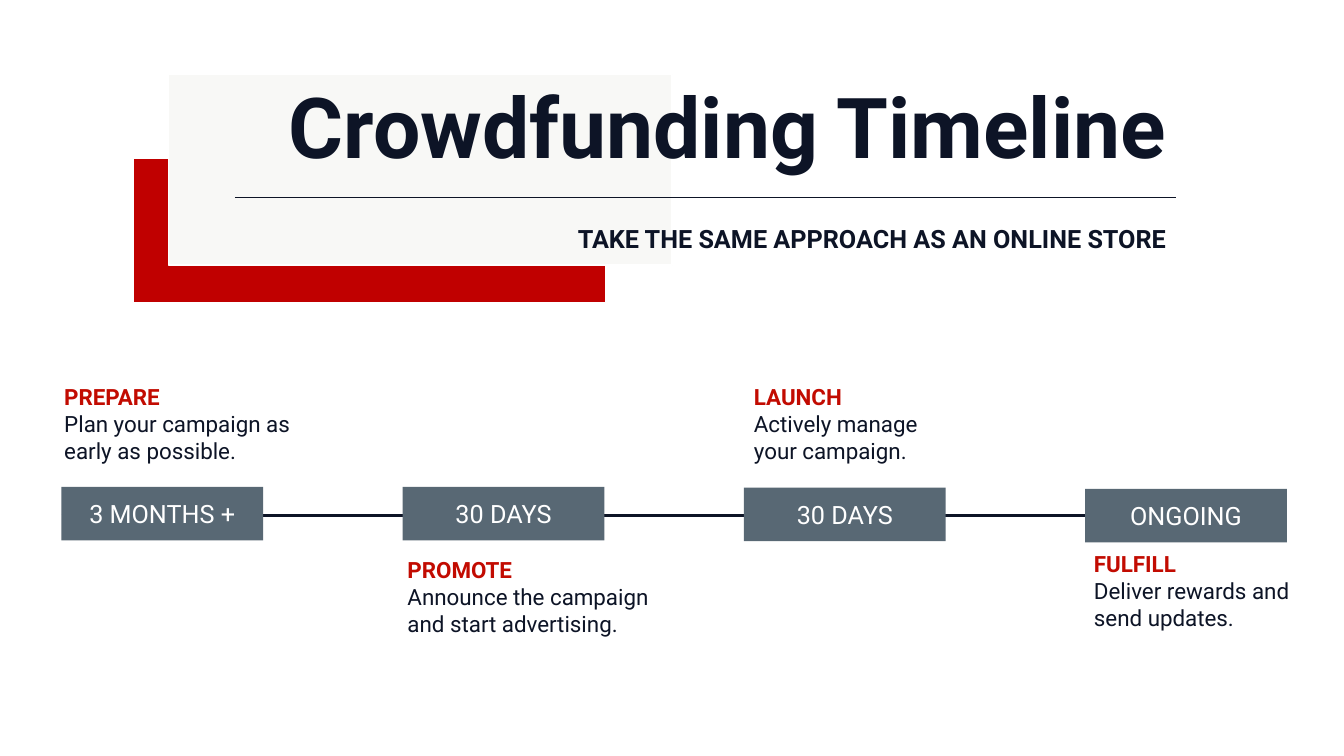
import dataclasses
import pptx
import pptx.dml.color
import pptx.enum.shapes
import pptx.enum.text
import pptx.oxml.ns
import pptx.util
from lxml import etree

Cm = pptx.util.Cm
Pt = pptx.util.Pt
ALIGN = pptx.enum.text.PP_ALIGN
ANCHOR = pptx.enum.text.MSO_ANCHOR


@dataclasses.dataclass(frozen=True)
class Theme:
    font: str = "Roboto"
    ink: str = "0D1426"
    white: str = "FFFFFF"
    accent_block: str = "C00000"
    pale_block: str = "F8F8F6"
    stage_name: str = "C20B01"
    stage_block: str = "586874"
    title_size: int = 60
    label_size: int = 18
    caption_size: int = 16


@dataclasses.dataclass(frozen=True)
class Stage:
    duration: str
    name: str
    advice: str
    drop: float
    caption_shift: float
    caption_top: float
    caption_width: float


THEME = Theme()
STAGES = [
    Stage("3 MONTHS +", "PREPARE", "Plan your campaign as early as possible.", 0, -0.18, -2.74, 6.22),
    Stage("30 DAYS", "PROMOTE", "Announce the campaign and start advertising.", 0, -0.13, 1.62, 6.68),
    Stage("30 DAYS", "LAUNCH", "Actively manage your campaign.", 0.02, 0, -2.74, 5.59),
    Stage("ONGOING", "FULFILL", "Deliver rewards and send updates.", 0.05, -0.03, 1.47, 6.25),
]


def rgb(code):
    return pptx.dml.color.RGBColor.from_string(code)


def add_run(paragraph, text, size, color, bold=False):
    run = paragraph.add_run()
    run.text = text
    run.font.name = THEME.font
    run.font.size = Pt(size)
    run.font.bold = bold
    run.font.color.rgb = rgb(color)


def add_block(slide, left, top, width, height, fill, outline=None):
    block = slide.shapes.add_shape(
        pptx.enum.shapes.MSO_SHAPE.RECTANGLE, Cm(left), Cm(top), Cm(width), Cm(height))
    block.shadow.inherit = False
    block.fill.solid()
    block.fill.fore_color.rgb = rgb(fill)
    if outline:
        block.line.color.rgb = rgb(outline)
        block.line.width = Pt(1)
    else:
        block.line.fill.background()
    return block


def add_rule(slide, left, right, y, weight):
    rule = slide.shapes.add_connector(
        pptx.enum.shapes.MSO_CONNECTOR.STRAIGHT, Cm(left), Cm(y), Cm(right), Cm(y))
    rule.line.color.rgb = rgb(THEME.ink)
    rule.line.width = Pt(weight)
    properties = rule.element.find(pptx.oxml.ns.qn("p:spPr"))
    etree.SubElement(properties, pptx.oxml.ns.qn("a:effectLst"))


def add_text_frame(slide, left, top, width, height, anchor=ANCHOR.TOP):
    frame = slide.shapes.add_textbox(Cm(left), Cm(top), Cm(width), Cm(height)).text_frame
    frame.word_wrap = True
    frame.vertical_anchor = anchor
    return frame


def add_heading(slide, left, top, width):
    add_block(slide, left, top + 2.11, 11.91, 3.63, THEME.accent_block, THEME.white)
    add_block(slide, left + 0.89, top, 12.7, 4.8, THEME.pale_block, THEME.white)
    lines = [
        ("Crowdfunding Timeline", THEME.title_size, 0, 2.69, ANCHOR.BOTTOM),
        ("TAKE THE SAME APPROACH AS AN ONLINE STORE", THEME.label_size, 3.71, 0.99, ANCHOR.TOP),
    ]
    for text, size, offset, height, anchor in lines:
        frame = add_text_frame(slide, left + 0.89, top + offset, width - 0.89, height, anchor)
        line = frame.paragraphs[0]
        line.alignment = ALIGN.RIGHT
        line.line_spacing = 0.9
        add_run(line, text, size, THEME.ink, True)
    add_rule(slide, left + 2.57, left + width, top + 3.1, 1)


def add_stage(slide, stage, left, top, width, height):
    block = add_block(slide, left, top + stage.drop, width, height, THEME.stage_block)
    block.text_frame.vertical_anchor = ANCHOR.MIDDLE
    duration = block.text_frame.paragraphs[0]
    duration.alignment = ALIGN.CENTER
    add_run(duration, stage.duration, THEME.label_size, THEME.white)

    caption = add_text_frame(
        slide, left + stage.caption_shift, top + stage.caption_top, stage.caption_width, 3)
    caption.auto_size = pptx.enum.text.MSO_AUTO_SIZE.SHAPE_TO_FIT_TEXT
    add_run(caption.paragraphs[0], stage.name, THEME.caption_size, THEME.stage_name, True)
    add_run(caption.add_paragraph(), stage.advice, THEME.caption_size, THEME.ink)


def add_timeline(slide, left, top, width):
    block_width, block_height = 5.08, 1.35
    pitch = (width - block_width) / (len(STAGES) - 1)
    add_rule(slide, left, left + width - 0.15, top + 0.73, 2)
    for index, stage in enumerate(STAGES):
        add_stage(slide, stage, left + index * pitch, top, block_width, block_height)


def main():
    presentation = pptx.Presentation()
    presentation.slide_width = Cm(33.87)
    presentation.slide_height = Cm(19.05)
    slide = presentation.slides.add_slide(presentation.slide_layouts[6])
    add_heading(slide, left=3.35, top=1.88, width=26.29)
    add_timeline(slide, left=1.55, top=12.27, width=30.88)
    presentation.save("out.pptx")


if __name__ == "__main__":
    main()
